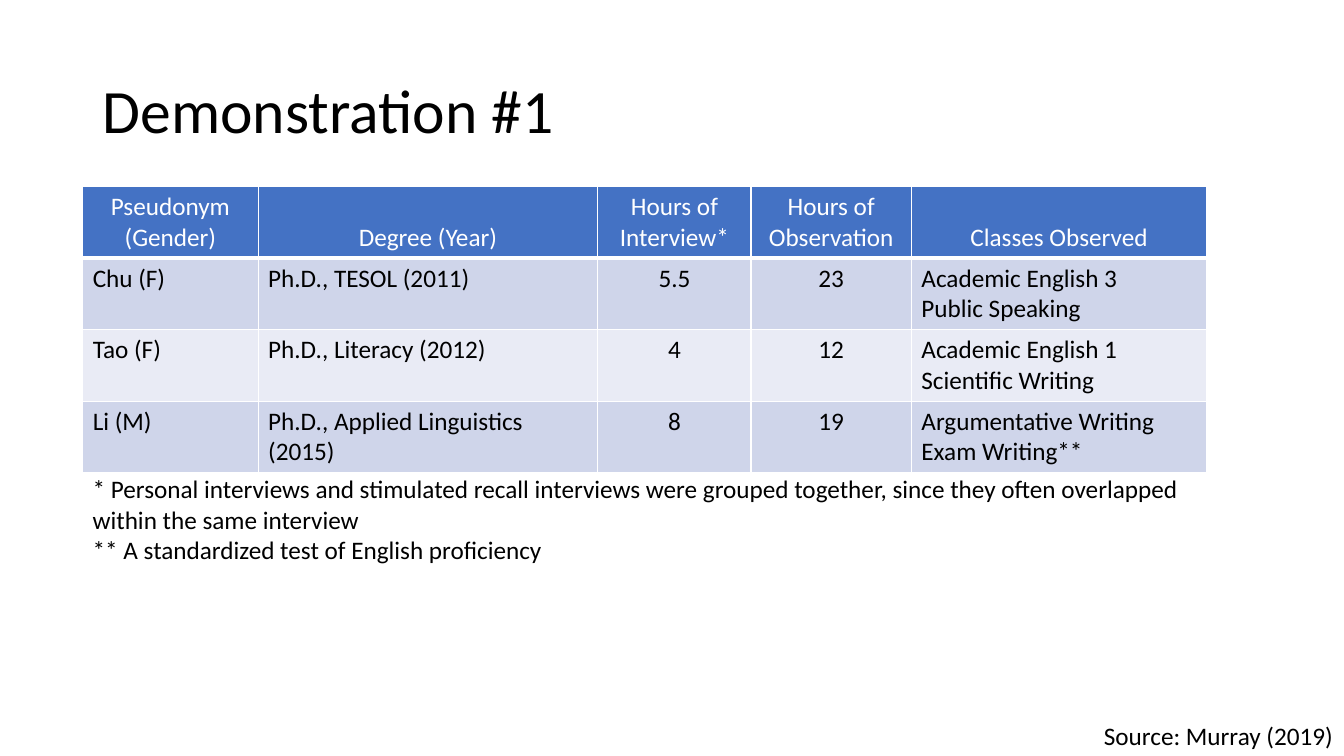
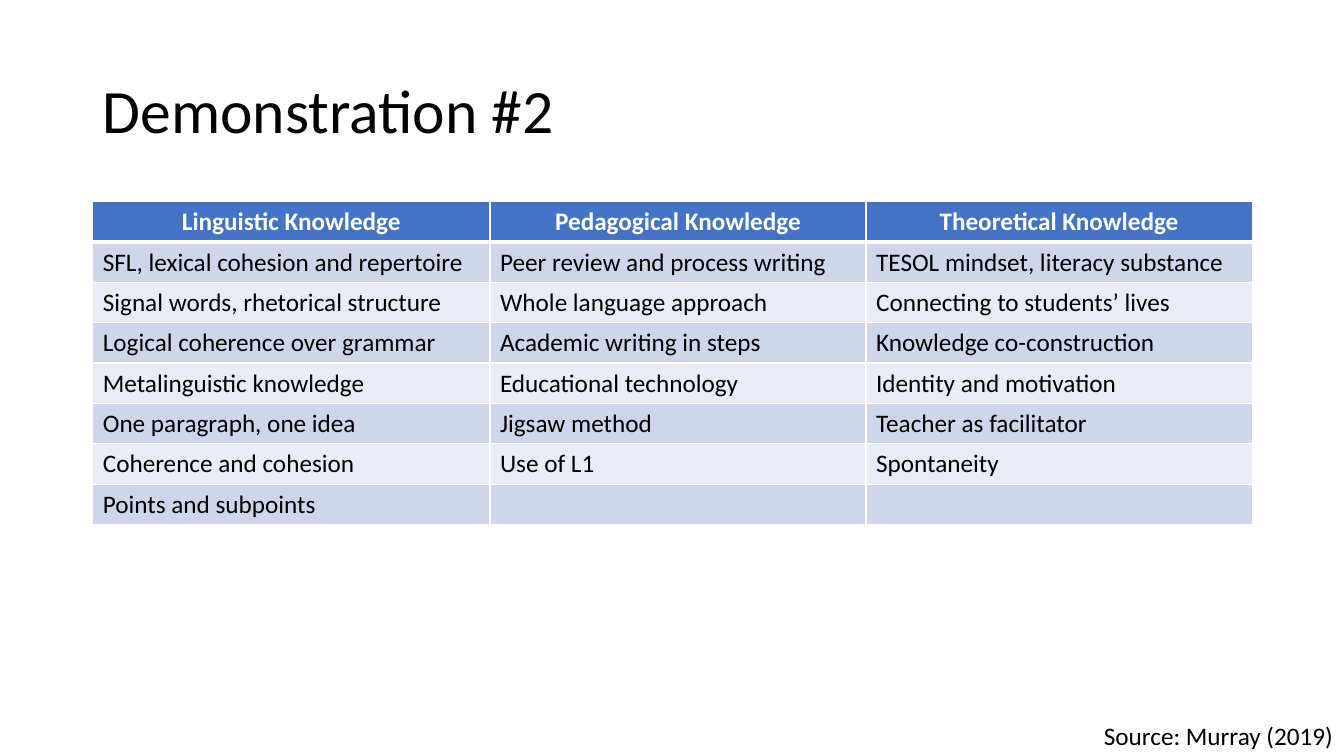
from dataclasses import dataclass
from typing import Any

from lxml.etree import SubElement as add_sub
from pptx import Presentation
from pptx.dml.color import RGBColor as Color
from pptx.enum.text import MSO_ANCHOR as Anchor
from pptx.enum.text import MSO_AUTO_SIZE as Fit
from pptx.enum.text import PP_ALIGN as Align
from pptx.oxml.ns import qn
from pptx.util import Inches, Pt


@dataclass(frozen=True)
class Theme:
    font: str = "Calibri"
    title: int = 44
    body: int = 18
    ink: str = "000000"
    white: str = "FFFFFF"
    head: str = "4472C4"
    bands: tuple[str, str] = ("CFD5EA", "E9EBF5")
    thin: int = 1
    thick: int = 3


@dataclass(frozen=True)
class Box:
    left: float
    top: float
    width: float
    height: float

    def size(self) -> tuple[int, ...]:
        return tuple(map(Inches, (self.left, self.top, self.width, self.height)))


@dataclass(frozen=True)
class Grid:
    left: float
    top: float
    cols: tuple[float, ...]
    row: float
    align: str
    bold: bool
    base: Any
    rows: tuple[tuple[str, ...], ...]


@dataclass(frozen=True)
class Page:
    title: str
    grid: Grid
    note: str = ""


THEME = Theme()
TITLE = Box(0.92, 0.4, 11.5, 1.45)
NOTE = Box(0.82, 4.65, 11.15, 1.01)
SOURCE = Box(10.85, 7.1, 2.48, 0.4)
ALIGN = {"l": Align.LEFT, "c": Align.CENTER}

PAGES = (
    Page(
        "Demonstration #1",
        Grid(0.82, 1.85, (1.74, 3.37, 1.52, 1.59, 2.93), 0.71, "llccl", False, Anchor.BOTTOM, (
            ("Pseudonym (Gender)", "Degree (Year)", "Hours of Interview*",
             "Hours of Observation", "Classes Observed"),
            ("Chu (F)", "Ph.D., TESOL (2011)", "5.5", "23",
             "Academic English 3\nPublic Speaking"),
            ("Tao (F)", "Ph.D., Literacy (2012)", "4", "12",
             "Academic English 1\nScientific Writing"),
            ("Li (M)", "Ph.D., Applied Linguistics (2015)", "8", "19",
             "Argumentative Writing\nExam Writing**"),
        )),
        "* Personal interviews and stimulated recall interviews were grouped together, "
        "since they often overlapped within the same interview\n"
        "** A standardized test of English proficiency",
    ),
    Page(
        "Demonstration #2",
        Grid(0.92, 2, (3.94, 3.73, 3.83), 0.4, "lll", True, Anchor.TOP, (
            ("Linguistic Knowledge", "Pedagogical Knowledge", "Theoretical Knowledge"),
            ("SFL, lexical cohesion and repertoire", "Peer review and process writing",
             "TESOL mindset, literacy substance"),
            ("Signal words, rhetorical structure", "Whole language approach",
             "Connecting to students’ lives"),
            ("Logical coherence over grammar", "Academic writing in steps",
             "Knowledge co-construction"),
            ("Metalinguistic knowledge", "Educational technology", "Identity and motivation"),
            ("One paragraph, one idea", "Jigsaw method", "Teacher as facilitator"),
            ("Coherence and cohesion", "Use of L1", "Spontaneity"),
            ("Points and subpoints", "", ""),
        )),
    ),
)


def apply(item: Any, form: dict[str, Any]) -> None:
    for name, value in form.items():
        setattr(item, name, value)


def write(frame: Any, text: str, size: int = THEME.body, ink: str = THEME.ink,
          bold: bool = False, form: dict[str, Any] | None = None) -> None:
    for num, line in enumerate(text.split("\n")):
        para = frame.add_paragraph() if num else frame.paragraphs[0]
        apply(para, form or {})
        if line:
            run = para.add_run()
            run.text = line
            apply(run.font, {"name": THEME.font, "size": Pt(size), "bold": bold})
            run.font.color.rgb = Color.from_string(ink)


def add_text(slide: Any, box: Box, text: str, frame: dict[str, Any], **look: Any) -> None:
    area = slide.shapes.add_textbox(*box.size()).text_frame
    apply(area, {"word_wrap": True, **frame})
    write(area, text, **look)


def add_edge(cell: Any, side: str, width: int) -> None:
    line = add_sub(cell._tc.get_or_add_tcPr(), qn(f"a:ln{side}"), w=str(Pt(width)))
    fill = add_sub(line, qn("a:solidFill"))
    add_sub(fill, qn("a:srgbClr"), val=THEME.white)


def add_grid(slide: Any, grid: Grid) -> None:
    count = len(grid.rows)
    box = Box(grid.left, grid.top, sum(grid.cols), grid.row * count)
    table = slide.shapes.add_table(count, len(grid.cols), *box.size()).table
    for col, width in zip(table.columns, grid.cols):
        col.width = Inches(width)
    for r, row in enumerate(grid.rows):
        table.rows[r].height = Inches(grid.row)
        head = r == 0
        fill = THEME.head if head else THEME.bands[(r - 1) % 2]
        edges = {"L": THEME.thin, "R": THEME.thin,
                 "T": THEME.thick if r == 1 else THEME.thin,
                 "B": THEME.thick if head else THEME.thin}
        for c, text in enumerate(row):
            cell = table.cell(r, c)
            for side, width in edges.items():
                add_edge(cell, side, width)
            cell.fill.solid()
            cell.fill.fore_color.rgb = Color.from_string(fill)
            cell.vertical_anchor = grid.base if head else Anchor.TOP
            write(cell.text_frame, text, ink=THEME.white if head else THEME.ink,
                  bold=head and grid.bold,
                  form={"alignment": ALIGN["c" if head else grid.align[c]]})


def add_page(deck: Any, page: Page) -> None:
    slide = deck.slides.add_slide(deck.slide_layouts[6])
    add_text(slide, TITLE, page.title, {"vertical_anchor": Anchor.MIDDLE},
             size=THEME.title, form={"line_spacing": 0.9})
    add_grid(slide, page.grid)
    grow = {"auto_size": Fit.SHAPE_TO_FIT_TEXT}
    if page.note:
        add_text(slide, NOTE, page.note, grow)
    add_text(slide, SOURCE, "Source: Murray (2019)", grow)


def main() -> None:
    deck = Presentation()
    apply(deck, {"slide_width": Inches(13.33), "slide_height": Inches(7.5)})
    for page in PAGES:
        add_page(deck, page)
    deck.save("out.pptx")


if __name__ == "__main__":
    main()
